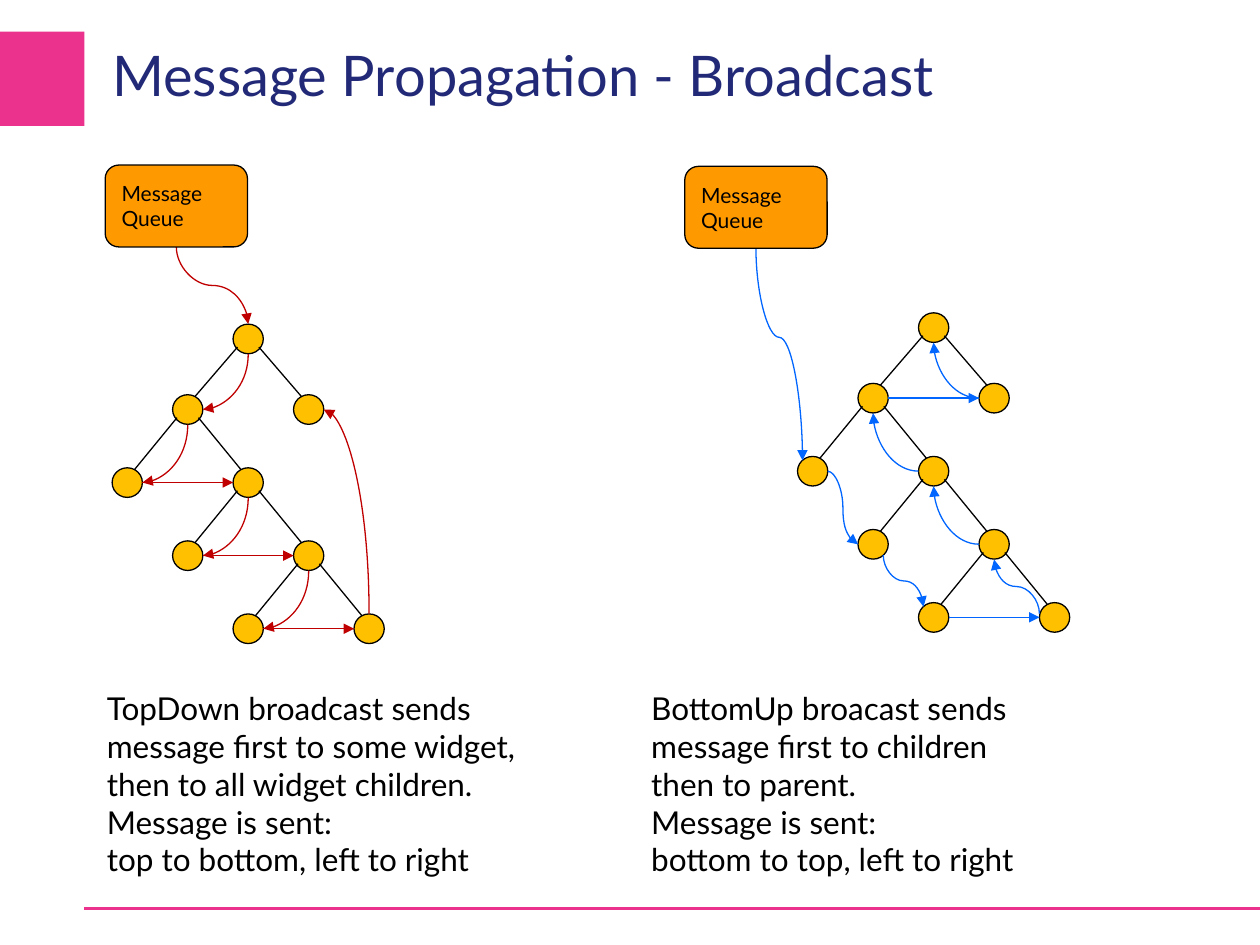
from pptx import Presentation
from pptx.dml.color import RGBColor
from pptx.enum.shapes import MSO_CONNECTOR, MSO_SHAPE
from pptx.enum.text import MSO_ANCHOR, PP_ALIGN
from pptx.oxml.ns import qn
from pptx.util import Inches, Pt
from lxml import etree

RECT, ROUND, OVAL = MSO_SHAPE.RECTANGLE, MSO_SHAPE.ROUNDED_RECTANGLE, MSO_SHAPE.OVAL
LINE, CURVE = MSO_CONNECTOR.STRAIGHT, MSO_CONNECTOR.CURVE
MID, TOP, LEFT = MSO_ANCHOR.MIDDLE, MSO_ANCHOR.TOP, PP_ALIGN.LEFT

# Content
TITLE = "Message Propagation - Broadcast"
QUEUE = ["Message", "Queue"]
# Node: column (from the root), row
NODES = {"a": (0, 0), "b": (-1, 1), "c": (1, 1), "d": (-2, 2), "e": (0, 2),
         "f": (-1, 3), "g": (1, 3), "h": (0, 4), "i": (2, 4)}
EDGES = ["ab", "ac", "bd", "be", "ef", "eg", "gh", "gi"]
# Arrow: start node, side, end node, side ("q" is the queue)
SIDES = [
    dict(root=(1.97, 2.69), queue=(1.4, 1.635), color="down", bend=0.5,
         text=(0.75, 4.23),
         lines=["TopDown broadcast sends", "message first to some widget,",
                "then to all widget children.", "Message is sent:",
                "top to bottom, left to right"],
         arrows=["q s a n", "a s b e", "i n c e", "b s d e", "d e e w",
                 "e s f e", "f e g w", "g s h e", "h e i w"]),
    dict(root=(7.41, 2.6), queue=(6, 1.645), color="up", bend=0.42,
         text=(5.07, 4.18),
         lines=["BottomUp broacast sends", "message first to children",
                "then to parent.", "Message is sent:",
                "bottom to top, left to right"],
         arrows=["q s d nw", "b e c w", "c w a s", "d e f w", "e w b s",
                 "f se h nw", "g w e s", "i wn g s", "h e i w"]),
]

# Theme and grid
THEME = dict(font="Lato", title="222A78", accent="EB328C", ink="000000",
             node="FFC000", queue="FF9900", down="C00000", up="0066FF",
             head=32, body=18, small=12, thin=0.75, rule=2)
WIDE, HIGH = 10, 7.5
COL, ROWS = 0.48, (0, 0.56, 1.14, 1.72, 2.3)
DOT, BOX = (0.24, 0.235), (1.13, 0.65)
R = DOT[0] / 2
PORTS = {"n": (0, -R), "s": (0, R), "e": (R, 0), "w": (-R, 0),
         "nw": (-0.08, -0.085), "se": (0.08, 0.085), "wn": (-R, -0.03)}

prs = Presentation()
prs.slide_width, prs.slide_height = Inches(WIDE), Inches(HIGH)
slide = prs.slides.add_slide(prs.slide_layouts[6])
shapes = slide.shapes


def tint(name):
    return RGBColor.from_string(THEME[name])


def write(shape, lines, size, color="ink", **form):
    frame = shape.text_frame
    base = dict(word_wrap=True, vertical_anchor=TOP)
    for key, val in {**base, **form}.items():
        setattr(frame, key, val)
    for n, line in enumerate(lines):
        para = frame.add_paragraph() if n else frame.paragraphs[0]
        para.alignment = LEFT
        run = para.add_run()
        run.text = line
        for key, val in dict(name=THEME["font"], size=Pt(THEME[size])).items():
            setattr(run.font, key, val)
        run.font.color.rgb = tint(color)


def block(kind, x, y, w, h, fill, edge=True):
    shape = shapes.add_shape(kind, *map(Inches, (x, y, w, h)))
    shape.shadow.inherit = False
    shape.fill.solid()
    shape.fill.fore_color.rgb = tint(fill)
    if edge:
        shape.line.color.rgb = tint("ink")
        shape.line.width = Pt(THEME["thin"])
    else:
        shape.line.fill.background()
    return shape


def center(kind, spot, size, fill):
    (x, y), (w, h) = spot, size
    return block(kind, x - w / 2, y - h / 2, w, h, fill)


def link(kind, start, end, color="ink", width="thin"):
    line = shapes.add_connector(kind, *map(Inches, (*start, *end)))
    line.line.color.rgb = tint(color)
    line.line.width = Pt(THEME[width])
    etree.SubElement(line._element.spPr, qn("a:effectLst"))
    return line


def shift(spot, x, y):
    return spot[0] + x, spot[1] + y


def arrow(start, end, out, into, color, bend):
    flat, level = out in "ew", into in "ew"
    if not flat:
        # A curve that leaves upright is a level one, turned a quarter
        (x, y), (u, v) = start, end
        mid, dx, dy = ((x + u) / 2, (y + v) / 2), (u - x) / 2, (v - y) / 2
        start, end = shift(mid, -dy, dx), shift(mid, dy, -dx)
    curve = link(CURVE, start, end, color)
    props = curve._element.spPr
    if not flat:
        props.xfrm.rot = 90
    shape = props.find(qn("a:prstGeom"))
    if flat != level:
        shape.set("prst", "curvedConnector2")
    elif bend != 0.5:
        guide = etree.SubElement(shape.find(qn("a:avLst")), qn("a:gd"))
        guide.set("name", "adj1")
        guide.set("fmla", f"val {round(bend * 100000)}")
    tip = etree.SubElement(props.find(qn("a:ln")), qn("a:tailEnd"))
    tip.set("type", "triangle")


def tree(side):
    spots = {name: shift(side["root"], col * COL, ROWS[row])
             for name, (col, row) in NODES.items()}
    for spot in spots.values():
        center(OVAL, spot, DOT, "node")
    for top, low in EDGES:
        way = 1 if NODES[low][0] > NODES[top][0] else -1
        link(LINE, shift(spots[top], way * 0.085, 0.065),
             shift(spots[low], way * -0.055, -0.1))
    # Message path
    for item in side["arrows"]:
        top, out, low, into = item.split()
        if top == "q":
            start, bend = shift(side["queue"], 0, BOX[1] / 2), side["bend"]
        else:
            start, bend = shift(spots[top], *PORTS[out]), 0.5
        arrow(start, shift(spots[low], *PORTS[into]), out, into,
              side["color"], bend)
    # Queue and caption
    queue = center(ROUND, side["queue"], BOX, "queue")
    write(queue, QUEUE, "small", word_wrap=False, vertical_anchor=MID)
    left, width = side["text"]
    note = shapes.add_textbox(*map(Inches, (left, 5.42, width, 1.62)))
    write(note, side["lines"], "body")


# Frame and title
block(RECT, 0, HIGH / 30, 0.67, HIGH / 10, "accent", edge=False)
link(LINE, (0.67, 7.21), (WIDE, 7.21), "accent", "rule")
head = shapes.add_textbox(*map(Inches, (0.89, 0.16, 6.79, 0.85)))
write(head, [TITLE], "head", "title", vertical_anchor=MID, margin_left=0,
      margin_right=0, margin_top=0, margin_bottom=0)

for side in SIDES:
    tree(side)

prs.save("out.pptx")
